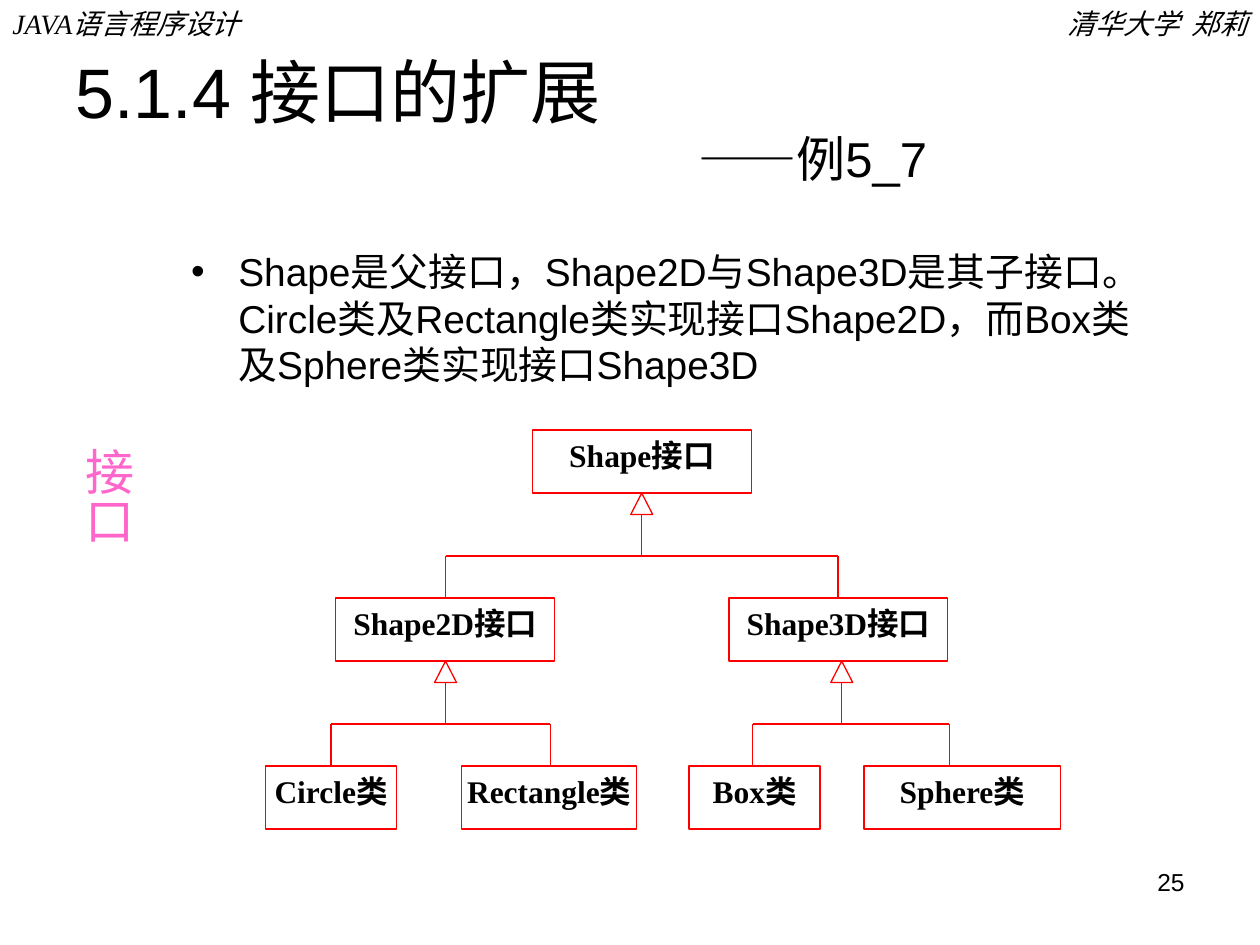
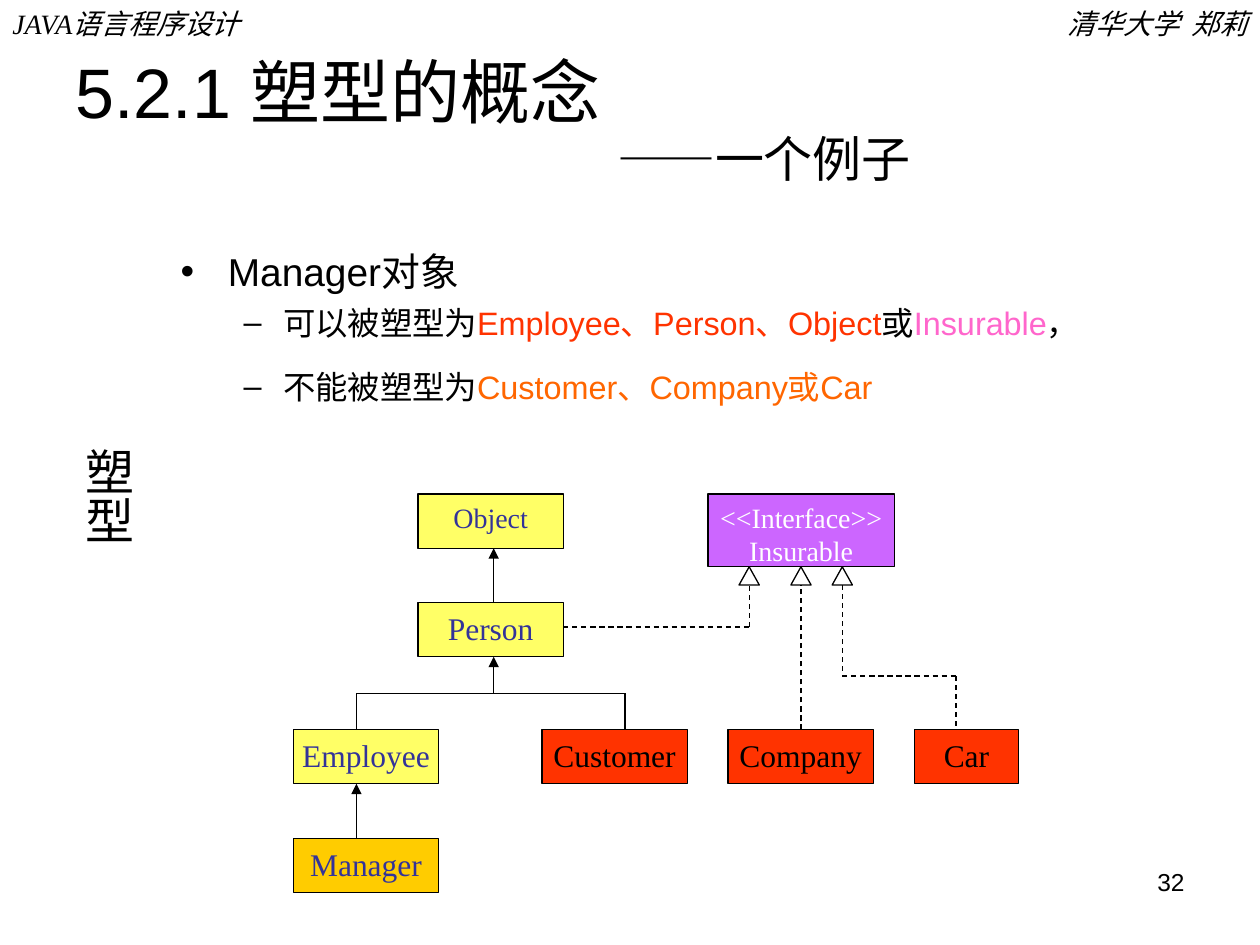
from itertools import pairwise

from pptx import Presentation
from pptx.dml.color import RGBColor as Rgb
from pptx.enum.dml import MSO_LINE as Dash
from pptx.enum.shapes import MSO_CONNECTOR as Wire, MSO_SHAPE as Kind
from pptx.enum.text import MSO_ANCHOR as Anchor, MSO_AUTO_SIZE as Auto, PP_ALIGN as Align
from pptx.oxml.ns import qn
from pptx.util import Pt
from lxml.etree import SubElement as Sub

HUES = {
    "ink": "000000", "white": "FFFFFF", "red": "FF0000", "pink": "FF66CC",
    "navy": "333399", "lemon": "FFFF66", "flame": "FF3300", "gold": "FFCC00",
    "plum": "CC66FF", "amber": "FF6600",
}
SANS, SERIF = "Arial", "Times New Roman"
FRAME = {"margin_left": Pt(7.2), "margin_right": Pt(7.2), "margin_top": Pt(3.6),
         "margin_bottom": Pt(3.6), "auto_size": Auto.NONE}


def hue(name):
    """Return the named colour."""
    return Rgb.from_string(HUES[name])


def style(item, form):
    """Set each format value on an item."""
    for key, val in form.items():
        setattr(item, key, val)


def place(item, box):
    """Move and size an item, in points."""
    style(item, dict(zip(("left", "top", "width", "height"), map(Pt, box))))


def shift(box, left, top):
    """Return a point given relative to a box."""
    return box[0] + left, box[1] + top


def write(para, text, size, face, tint="ink", **form):
    """Add one formatted run to a paragraph."""
    run = para.add_run()
    run.text = text
    style(run.font, {"size": Pt(size), "name": face, **form})
    run.font.color.rgb = hue(tint)


def fill(frame, lines, size, face, tint="ink", para={}, **form):
    """Write lines as paragraphs of a text frame."""
    for num, line in enumerate(lines):
        item = frame.add_paragraph() if num else frame.paragraphs[0]
        style(item, para)
        write(item, line, size, face, tint, **form)


def label(slide, box, text, size, face, tint="ink", para={}, **form):
    """Add a text box with one line and return its frame."""
    frame = slide.shapes.add_textbox(*map(Pt, box)).text_frame
    style(frame, {**FRAME, "word_wrap": True})
    fill(frame, [text], size, face, tint, para, **form)
    return frame


def edge(line, tint, dash=None):
    """Format an outline."""
    style(line, {"width": Pt(0.75), "dash_style": dash})
    line.color.rgb = hue(tint)


def block(slide, kind, box, tint, ground=None):
    """Add an outlined preset shape."""
    item = slide.shapes.add_shape(kind, *map(Pt, box))
    item.shadow.inherit = False
    edge(item.line, tint)
    if ground:
        item.fill.solid()
        item.fill.fore_color.rgb = hue(ground)
    else:
        item.fill.background()
    return item


def node(slide, box, lines, size, tint, line, ground=None, **form):
    """Add a class box with its name."""
    frame = block(slide, Kind.RECTANGLE, box, line, ground).text_frame
    style(frame, {**FRAME, "word_wrap": False, "vertical_anchor": Anchor.TOP})
    fill(frame, lines, size, SERIF, tint, {"alignment": Align.CENTER}, **form)


def route(slide, box, spots, tint="ink", dash=None, arrow=False):
    """Join points by lines, with an arrowhead at the last one if asked."""
    for start, end in pairwise(spots):
        ends = shift(box, *start) + shift(box, *end)
        item = slide.shapes.add_connector(Wire.STRAIGHT, *map(Pt, ends))
        edge(item.line, tint, dash)
        props = item.element.spPr
        Sub(props, qn("a:effectLst"))
    if arrow:
        Sub(item.line._get_or_add_ln(), qn("a:tailEnd"), type="triangle")


def tip(slide, box, mid, top, size, tint, ground=None):
    """Add a hollow triangle centred under a box."""
    wide, high = size
    spot = shift(box, mid - wide / 2, top)
    block(slide, Kind.ISOSCELES_TRIANGLE, (*spot, wide, high), tint, ground)


def header(slide, box):
    """Add the running head at both ends of a band."""
    left, top, wide, high = box
    for spot, text, side in ((left, "JAVA语言程序设计", Align.LEFT),
                             (left + wide - 222, "清华大学  郑莉", Align.RIGHT)):
        label(slide, (spot, top, 222, high), text, 16, SERIF,
              para={"alignment": side, "space_before": Pt(10)}, italic=True)


def title(slide, box, head, tail, inset):
    """Fill the title with a heading and an indented second line."""
    item = slide.shapes.title
    place(item, box)
    frame = item.text_frame
    style(frame, {**FRAME, "margin_bottom": Pt(5.3), "word_wrap": True,
                  "vertical_anchor": Anchor.BOTTOM})
    fill(frame, [head], 40, SANS)
    write(frame.add_paragraph(), tail, 28, SANS)
    for para in frame.paragraphs:
        style(para, {"alignment": Align.LEFT, "line_spacing": 0.7})
    last = frame.paragraphs[1]
    last.space_before = Pt(8.6)
    last._p.get_or_add_pPr().set("marL", str(Pt(inset)))


def body(slide, box, items):
    """Fill the body with bullets of (level, gap, runs)."""
    item = slide.placeholders[1]
    place(item, box)
    frame = item.text_frame
    style(frame, FRAME)
    for num, (level, gap, runs) in enumerate(items):
        para = frame.add_paragraph() if num else frame.paragraphs[0]
        style(para, {"level": level, "space_before": Pt(gap)})
        para._p.get_or_add_pPr().set("hangingPunct", "0")
        for text, tint in runs:
            write(para, text, 18.5 if level else 22.2, SANS, tint)


def side(slide, box, text, tint):
    """Add the vertical section name, halfway down its box."""
    frame = label(slide, box, text, 28, SERIF, tint, {"space_before": Pt(17.5)})
    style(frame, {"margin_left": Pt(3.6), "margin_right": Pt(3.6),
                  "margin_top": Pt(178.6), "margin_bottom": Pt(7.2)})
    frame._txBody.bodyPr.set("vert", "eaVert")


def page(deck, head, tail, inset, items, area, name, tint, num):
    """Add a slide with all the shared parts."""
    slide = deck.slides.add_slide(deck.slide_layouts[1])
    header(slide, (0, 0, 720, 26.6))
    title(slide, (36, 21.6, 648, 90), head, tail, inset)
    body(slide, area, items)
    side(slide, (34.6, 77, 47.5, 414), name, tint)
    label(slide, (516, 492, 168, 37.4), num, 14, SANS, para={"alignment": Align.RIGHT})
    return slide


def shapes(slide, box):
    """Draw the tree of shape interfaces."""
    step, high = 96, 36
    rows = (
        (("Shape接口", 152.6, 125),),
        (("Shape2D接口", 40.2, 125), ("Shape3D接口", 264.9, 125)),
        (("Circle类", 0, 75), ("Rectangle类", 112.2, 100),
         ("Box类", 242, 75), ("Sphere类", 342, 112.4)),
    )
    for num, row in enumerate(rows):
        for name, left, wide in row:
            spot = shift(box, left, num * step)
            node(slide, (*spot, wide, high), [name], 18, "ink", "red", bold=True)
    trees = ((0, 215, 102.9, 327.2), (1, 102.9, 37.4, 162.8), (1, 329.3, 278.4, 390.8))
    for num, stem, west, east in trees:
        base = num * step + high
        bus, foot = base + 36, (num + 1) * step
        tip(slide, box, stem, base, (12.5, 12.2), "red")
        route(slide, box, ((stem, base + 12.2), (stem, bus)), "red")
        route(slide, box, ((west, foot), (west, bus), (east, bus), (east, foot)), "red")


def casts(slide, box):
    """Draw the class tree and the interface it realises."""
    wide, high = 83, 31
    mid, low, last = 62, 134.6, 196.8
    nodes = (
        ("Object", 71.2, 0, wide, "navy", "lemon", 16),
        ("Person", 71.2, mid, wide, "navy", "lemon", 18),
        ("Employee", 0, low, wide, "navy", "lemon", 18),
        ("Customer", 142, low, wide, "ink", "flame", 18),
        ("Manager", 0, last, wide, "navy", "gold", 18),
        ("Company", 248.4, low, wide, "ink", "flame", 18),
        ("Car", 355, low, 59.2, "ink", "flame", 18),
    )
    for name, left, top, span, tint, ground, size in nodes:
        node(slide, (*shift(box, left, top), span, high), [name], size, tint, "ink", ground)
    node(slide, (*shift(box, 236.8, 0), 106.6, 41.6), ["<<Interface>>", "Insurable"],
         16, "white", "ink", "plum")

    stem, west, east, bus = 114.4, 36, 189.4, 114
    route(slide, box, ((west, low), (west, bus), (east, bus), (east, low)))
    for spot, start, end in ((stem, mid, high), (stem, bus, mid + high),
                             (west, last, low + high)):
        route(slide, box, ((spot, start), (spot, end)), arrow=True)

    base, bend, turn = 52, 76, 104
    left, centre, right, car = 260.4, 290, 313.6, 378.6
    for spot in (left, centre, right):
        tip(slide, box, spot, 41.6, (11.6, 10.4), "ink", "white")
    for spots in (
        ((71.2 + wide, bend), (left, bend), (left, base)),
        ((centre, low), (centre, base)),
        ((right, base), (right, turn), (car, turn), (car, low)),
    ):
        route(slide, box, spots, dash=Dash.DASH)


def main():
    """Build and save both slides."""
    deck = Presentation()
    style(deck, {"slide_width": Pt(720), "slide_height": Pt(540)})
    text = ("Shape是父接口，Shape2D与Shape3D是其子接口。Circle类及Rectangle类"
            "实现接口Shape2D，而Box类及Sphere类实现接口Shape3D")
    slide = page(deck, "5.1.4 接口的扩展", "——例5_7", 356, [(0, 6, [(text, "ink")])],
                 (102, 138, 570, 114), "接口", "pink", "25")
    shapes(slide, (151.7, 245.8, 454, 228))

    items = [
        (0, 6, [("Manager对象", "ink")]),
        (1, 5, [("可以被塑型为", "ink"), ("Employee、Person、Object", "flame"),
                ("或", "ink"), ("Insurable", "pink"), ("，", "ink")]),
        (1, 14.4, [("不能被塑型为", "ink"), ("Customer、Company或Car", "amber")]),
    ]
    slide = page(deck, "5.2.1 塑型的概念", "——一个例子", 309.5, items,
                 (96, 138, 570, 120), "塑型", "ink", "32")
    casts(slide, (167.7, 282.3, 414, 228))
    deck.save("out.pptx")


if __name__ == "__main__":
    main()
